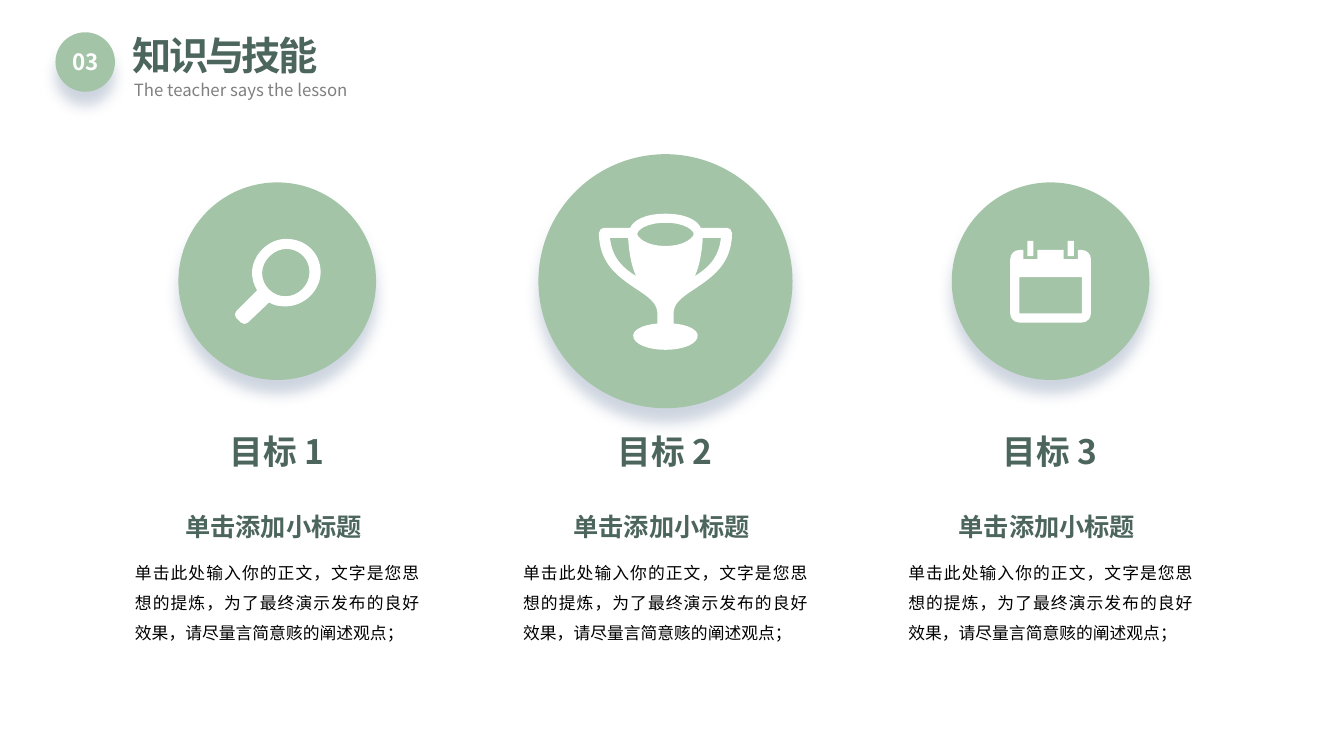
from dataclasses import dataclass

from lxml import etree
from pptx import Presentation
from pptx.dml.color import RGBColor
from pptx.enum.shapes import MSO_SHAPE
from pptx.enum.text import MSO_ANCHOR, MSO_AUTO_SIZE, PP_ALIGN
from pptx.oxml.ns import qn
from pptx.util import Pt

OVAL = MSO_SHAPE.OVAL
LEFT, CENTER, JUSTIFY = PP_ALIGN.LEFT, PP_ALIGN.CENTER, PP_ALIGN.JUSTIFY
TOP, MIDDLE = MSO_ANCHOR.TOP, MSO_ANCHOR.MIDDLE
GROW = MSO_AUTO_SIZE.SHAPE_TO_FIT_TEXT
PX = 9144  # EMU per px, 100 px to the inch


@dataclass(frozen=True)
class Theme:
    sage: str = "A3C4A7"
    dark: str = "4C655D"
    gray: str = "808080"
    black: str = "000000"
    white: str = "FFFFFF"
    shade: str = "8496B1"
    font: str = "Noto Sans CJK SC"
    title_font: str = "Noto Sans CJK JP"
    title: int = 28
    goal: int = 24
    sub: int = 18
    badge: int = 16
    body: int = 12


class Deck:
    def __init__(self, theme):
        self.theme = theme
        self.prs = Presentation()
        self.prs.slide_width, self.prs.slide_height = 1333 * PX, 750 * PX
        self.slide = self.prs.slides.add_slide(self.prs.slide_layouts[6])

    def paint(self, shape, color):
        shape.shadow.inherit = False
        shape.fill.solid()
        shape.fill.fore_color.rgb = RGBColor.from_string(color)
        shape.line.fill.background()

    def text(self, box, words, size, color, bold=False, align=LEFT,
             anchor=TOP, wrap=True, lines=None, font=None, track=None):
        shape = self.slide.shapes.add_textbox(*(n * PX for n in box))
        frame = shape.text_frame
        frame.text = words
        frame.word_wrap = wrap
        frame.auto_size = GROW
        frame.vertical_anchor = anchor
        para = frame.paragraphs[0]
        para.alignment = align
        if lines:
            para.line_spacing = lines
        run = para.runs[0]
        face = font or self.theme.font
        run.font.name = face
        run.font.size = Pt(size)
        run.font.bold = bold
        run.font.color.rgb = RGBColor.from_string(color)
        props = run.font._element
        etree.SubElement(props, qn("a:ea")).set("typeface", face)
        if track:
            props.set("spc", str(track * 100))

    def disc(self, left, top, side):
        """Circle with a soft shadow below it."""
        shape = self.slide.shapes.add_shape(
            OVAL, left * PX, top * PX, side * PX, side * PX)
        self.paint(shape, self.theme.sage)
        effects = shape._element.spPr.find(qn("a:effectLst"))
        shadow = etree.SubElement(
            effects, qn("a:outerShdw"), blurRad="127000", dist="127000",
            dir="5400000", algn="t", rotWithShape="0")
        tint = etree.SubElement(shadow, qn("a:srgbClr"), val=self.theme.shade)
        etree.SubElement(tint, qn("a:alpha"), val="40000")

    def icon(self, x, y, rings):
        """Outline with holes: a pair is a line, six numbers are a curve."""
        rings = [[[((x + a) * PX, (y + b) * PX)
                   for a, b in zip(step[::2], step[1::2])]
                  for step in ring] for ring in rings]
        pen = self.slide.shapes.build_freeform(*rings[0][0][-1], scale=1.0)
        for n, ring in enumerate(rings):
            if n:
                pen.move_to(*ring[0][-1])
            pen.add_line_segments([step[-1] for step in ring[1:]], close=False)
            pen.add_line_segments([], close=True)
        shape = pen.convert_to_shape()
        self.paint(shape, self.theme.white)
        # Turn the marked lines into curves
        steps = [step for ring in rings for step in ring[1:]]
        marks = list(shape._element.iter(qn("a:lnTo")))
        for mark, step in zip(marks, steps):
            if len(step) == 3:
                mark.tag = qn("a:cubicBezTo")
                mark.remove(mark[0])
                for a, b in step:
                    etree.SubElement(mark, qn("a:pt"), x=str(a - shape.left),
                                     y=str(b - shape.top))

    def save(self):
        self.prs.save("out.pptx")


def flip(steps):
    """Mirror an outline left to right and run it backwards."""
    nodes = [step[-2:] for step in steps]
    back = [nodes[-1]]
    for step, start in zip(steps[:0:-1], nodes[-2::-1]):
        back.append(step[2:4] + step[:2] + start if len(step) == 6 else start)
    return [tuple(-n if i % 2 == 0 else n for i, n in enumerate(step))
            for step in back]


def whole(*half):
    """Close a right half with its mirror image."""
    return list(half) + flip(half)[1:]


def lens():
    rim = [(-41, 36), (-36, 41), (-34, 43, -31, 43, -29, 41), (-8, 21),
           (-4, 24, 2, 25, 8, 25), (27, 25, 43, 9, 43, -9),
           (43, -28, 28, -42, 9, -42), (-9, -42, -25, -26, -25, -8),
           (-25, -2, -23, 4, -20, 9), (-40, 29),
           (-42, 32, -43, 34, -41, 36)]
    glass = [(8, 15), (-4, 15, -15, 5, -15, -8),
             (-15, -21, -3, -32, 9, -32), (22, -32, 32, -22, 32, -9),
             (32, 4, 21, 15, 8, 15)]
    return [rim, glass]


def trophy():
    cup = whole((0, -67), (21, -67, 32, -60, 35, -53), (61, -53),
                (63, -53, 66, -51, 66, -48), (66, -17, 46, -4, 30, 7),
                (16, 16, 8, 22, 8, 32), (8, 42),
                (22, 43, 32, 48, 32, 54), (32, 62, 18, 68, 0, 68))
    mouth = whole((0, -58), (20, -58, 28, -50, 28, -47),
                  (28, -44, 20, -35, 0, -35))
    grip = [(29, -5), (33, -13, 36, -26, 37, -43), (55, -43),
            (53, -23, 42, -13, 29, -5)]
    return [cup, mouth, grip, flip(grip)]


def planner():
    page = whole((0, -31), (13, -31), (13, -22), (27, -22), (27, -31),
                 (31, -31), (36, -31, 40, -27, 40, -22), (40, 32),
                 (40, 37, 36, 41, 31, 41), (0, 41))
    pane = [(-31, -4), (31, -4), (31, 32), (-31, 32)]
    peg = [(17, -40), (23, -40), (23, -25), (17, -25)]
    return [page, pane, peg, flip(peg)]


def main():
    theme = Theme()
    deck = Deck(theme)

    # Goal columns
    goals = [(275, 196, lens), (660, 252, trophy), (1042, 196, planner)]
    body = ("单击此处输入你的正文，文字是您思想的提炼，"
            "为了最终演示发布的良好效果，请尽量言简意赅的阐述观点；")
    for number, (x, side, draw) in enumerate(goals, 1):
        deck.text((x - 153, 423, 305, 50), f"目标 {number}", theme.goal,
                  theme.dark, bold=True, align=CENTER, anchor=MIDDLE)
        deck.disc(x - side // 2, 279 - side // 2, side)
        deck.icon(x, 279, draw())
        deck.text((x - 151, 543, 302, 98), body, theme.body, theme.black,
                  align=JUSTIFY, lines=1.5)
        deck.text((x - 101, 502, 202, 40), "单击添加小标题", theme.sub,
                  theme.dark, bold=True, wrap=False)

    # Header
    deck.text((122, 26, 318, 57), "知识与技能", theme.title, theme.dark,
              bold=True, font=theme.title_font, track=-2)
    deck.text((123, 74, 277, 30), "The teacher says the lesson",
              theme.body, theme.gray)
    deck.disc(55, 32, 59)
    deck.text((52, 43, 66, 37), "03", theme.badge, theme.white,
              bold=True, align=CENTER)

    deck.save()


if __name__ == "__main__":
    main()
